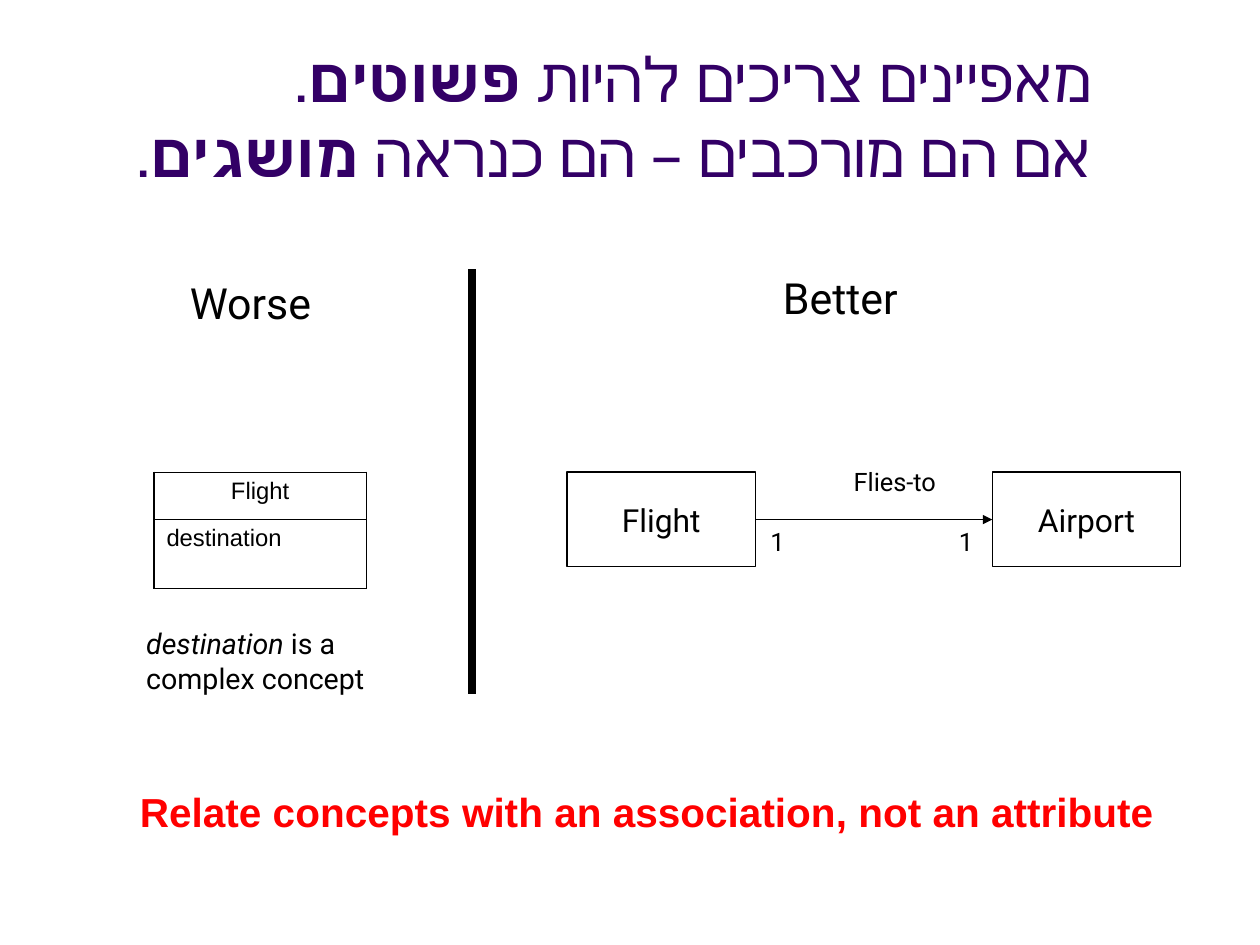
import pptx
import pptx.dml.color
import pptx.enum.shapes
import pptx.enum.text
import pptx.oxml
import pptx.oxml.ns
import pptx.util
from pptx.util import Cm

BLACK = "000000"
PURPLE = "330066"
RED = "FF0000"
ALIGN = pptx.enum.text.PP_ALIGN
ANCHOR = pptx.enum.text.MSO_ANCHOR


def color(value):
    return pptx.dml.color.RGBColor.from_string(value)


def add_element(parent, tag, **attributes):
    element = pptx.oxml.parse_xml(f"<a:{tag} {pptx.oxml.ns.nsdecls('a')}/>")
    for name, value in attributes.items():
        element.set(name, value)
    parent.append(element)
    return element


def format_runs(paragraph, size, font="Roboto", fill=BLACK):
    for run in paragraph.runs:
        run.font.size = pptx.util.Pt(size)
        run.font.name = font
        run.font.color.rgb = color(fill)


def set_margins(target, horizontal, vertical):
    target.margin_left = target.margin_right = Cm(horizontal)
    target.margin_top = target.margin_bottom = Cm(vertical)


def add_box(slide, left, top, width, height, margins=(0.28, 0.15), wrap=False):
    shape = slide.shapes.add_textbox(Cm(left), Cm(top), Cm(width), Cm(height))
    shape.text_frame.word_wrap = wrap
    set_margins(shape.text_frame, *margins)
    return shape.text_frame


def add_title(slide):
    text_frame = add_box(slide, 1.4, 0.38, 23.11, 3.96, (0.25, 0.13), True)
    text_frame.vertical_anchor = ANCHOR.BOTTOM
    paragraph = text_frame.paragraphs[0]
    paragraph.alignment = ALIGN.RIGHT
    paragraph._p.get_or_add_pPr().set("rtl", "1")
    lines = [
        ("מאפיינים צריכים להיות ", "פשוטים"),
        ("אם הם מורכבים – הם כנראה ", "מושגים"),
    ]
    for index, (opening, emphasis) in enumerate(lines):
        if index:
            paragraph.add_line_break()
        for text in (opening, emphasis, "."):
            run = paragraph.add_run()
            run.text = text
            run.font.bold = text == emphasis
    format_runs(paragraph, 39, "Arial", PURPLE)


def add_label(slide, text, left, top, width, height, size):
    text_frame = add_box(slide, left, top, width, height)
    text_frame.auto_size = pptx.enum.text.MSO_AUTO_SIZE.SHAPE_TO_FIT_TEXT
    text_frame.text = text
    for paragraph in text_frame.paragraphs:
        format_runs(paragraph, size)
    return text_frame


def add_explanation(slide):
    text_frame = add_label(
        slide, "destination \ncomplex concept", 2.97, 13.77, 5.64, 1.8, 18
    )
    paragraph = text_frame.paragraphs[0]
    paragraph.runs[0].font.italic = True
    paragraph.add_run().text = "is a"
    format_runs(paragraph, 18)


def add_conclusion(slide):
    text_frame = add_box(slide, 2.86, 17.37, 23.05, 1.7, (0.25, 0.13), True)
    text_frame.margin_right = 0
    text_frame.text = "Relate concepts with an association, not an attribute"
    paragraph = text_frame.paragraphs[0]
    format_runs(paragraph, 25.5, "Arial", RED)
    paragraph.runs[0].font.bold = True


def add_class_table(slide):
    rows = [("Flight", 1.04, ALIGN.CENTER), ("destination", 1.55, ALIGN.LEFT)]
    frame = slide.shapes.add_table(len(rows), 1, Cm(3.42), Cm(10.49), Cm(4.72), Cm(2.59))
    table = frame.table
    table.first_row = table.horz_banding = False
    for index, (text, height, alignment) in enumerate(rows):
        table.rows[index].height = Cm(height)
        cell = table.cell(index, 0)
        set_margins(cell, 0.28, 0.13)
        cell.text = text
        paragraph = cell.text_frame.paragraphs[0]
        paragraph.alignment = alignment
        format_runs(paragraph, 15, "Arial")
        bottom = 1.08 if index == len(rows) - 1 else 0.45
        set_borders(cell, lnL=1.08, lnR=1.08, lnT=0.45, lnB=bottom)
        cell.fill.background()


def set_borders(cell, **widths):
    properties = cell._tc.get_or_add_tcPr()
    for side, width in widths.items():
        border = add_element(properties, side, w=str(pptx.util.Pt(width)))
        add_element(add_element(border, "solidFill"), "srgbClr", val=BLACK)


def add_concept(slide, text, left):
    shape = slide.shapes.add_shape(
        pptx.enum.shapes.MSO_SHAPE.RECTANGLE, Cm(left), Cm(10.49), Cm(4.19), Cm(2.11)
    )
    shape.shadow.inherit = False
    shape.fill.background()
    shape.line.color.rgb = color(BLACK)
    shape.line.width = pptx.util.Pt(0.75)
    text_frame = shape.text_frame
    text_frame.word_wrap = False
    text_frame.vertical_anchor = ANCHOR.MIDDLE
    set_margins(text_frame, 0.28, 0.15)
    text_frame.text = text
    text_frame.paragraphs[0].alignment = ALIGN.CENTER
    format_runs(text_frame.paragraphs[0], 20)
    return shape


def add_line(slide, start, end, width):
    connector = slide.shapes.add_connector(
        pptx.enum.shapes.MSO_CONNECTOR.STRAIGHT, *map(Cm, start + end)
    )
    connector.line.color.rgb = color(BLACK)
    connector.line.width = pptx.util.Pt(width)
    add_element(connector._element.spPr, "effectLst")
    return connector


def add_divider(slide):
    divider = add_line(slide, (10.49, 6.05), (10.49, 15.34), 4.5)
    divider.line._get_or_add_ln().set("cap", "sq")


def add_association(slide, source, target):
    connector = add_line(slide, (16.79, 11.55), (22.05, 11.55), 0.75)
    connector.begin_connect(source, 3)
    connector.end_connect(target, 1)
    add_element(connector.line._get_or_add_ln(), "tailEnd", type="triangle")


def main():
    presentation = pptx.Presentation()
    presentation.slide_width = Cm(28)
    presentation.slide_height = Cm(21)
    slide = presentation.slides.add_slide(presentation.slide_layouts[6])
    add_title(slide)
    add_divider(slide)
    add_label(slide, "Worse", 3.94, 5.99, 3.43, 1.42, 27)
    add_class_table(slide)
    add_explanation(slide)
    add_label(slide, "Better", 17.12, 5.89, 3.35, 1.42, 27)
    flight = add_concept(slide, "Flight", 12.6)
    airport = add_concept(slide, "Airport", 22.05)
    add_association(slide, flight, airport)
    add_label(slide, "Flies-to", 18.69, 10.22, 2.46, 0.97, 16)
    for left in (16.84, 21.03):
        add_label(slide, "1", left, 11.54, 0.89, 0.97, 16)
    add_conclusion(slide)
    presentation.save("out.pptx")


if __name__ == "__main__":
    main()
